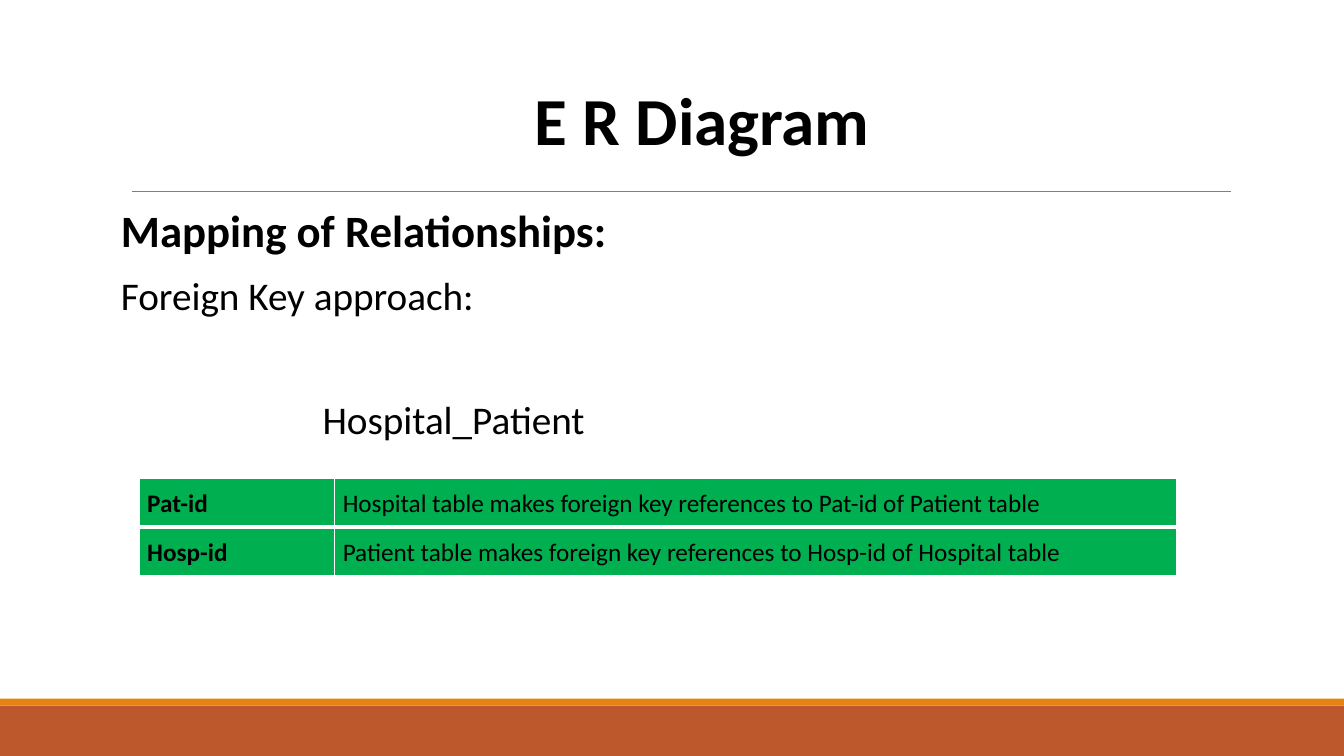
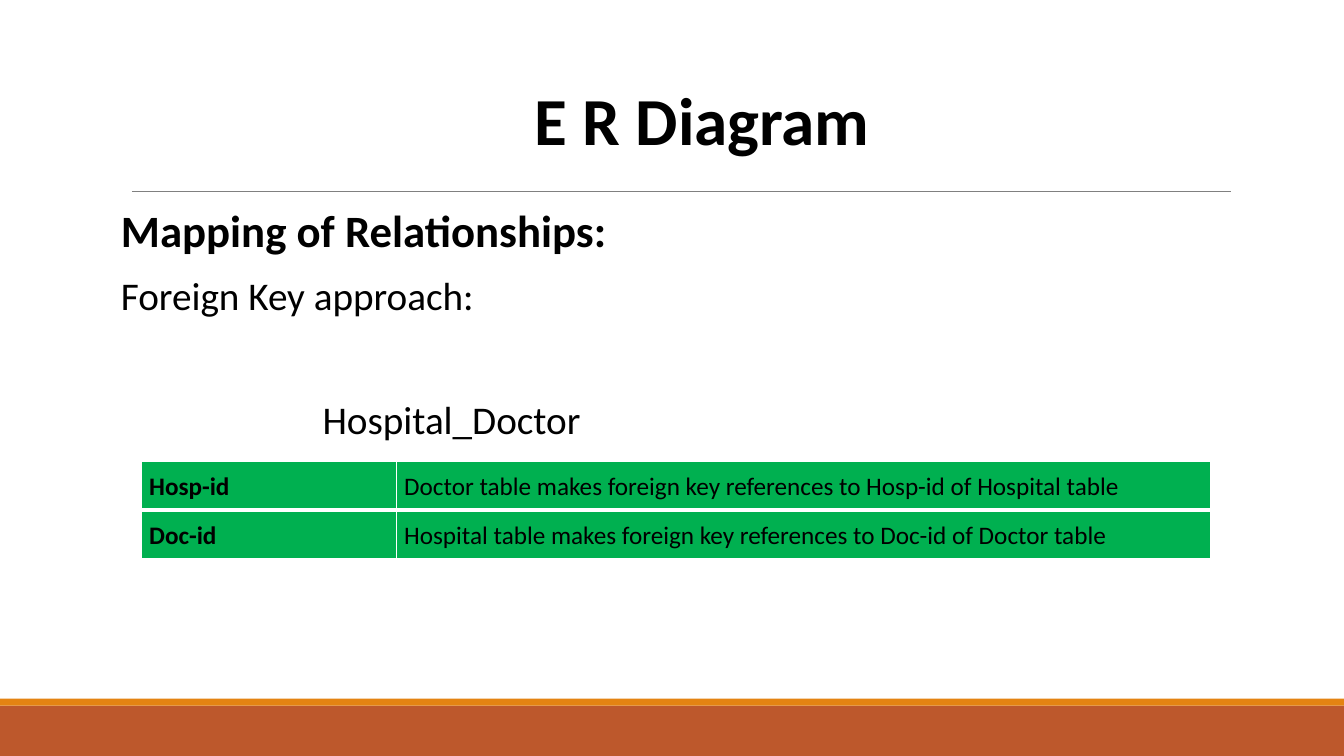
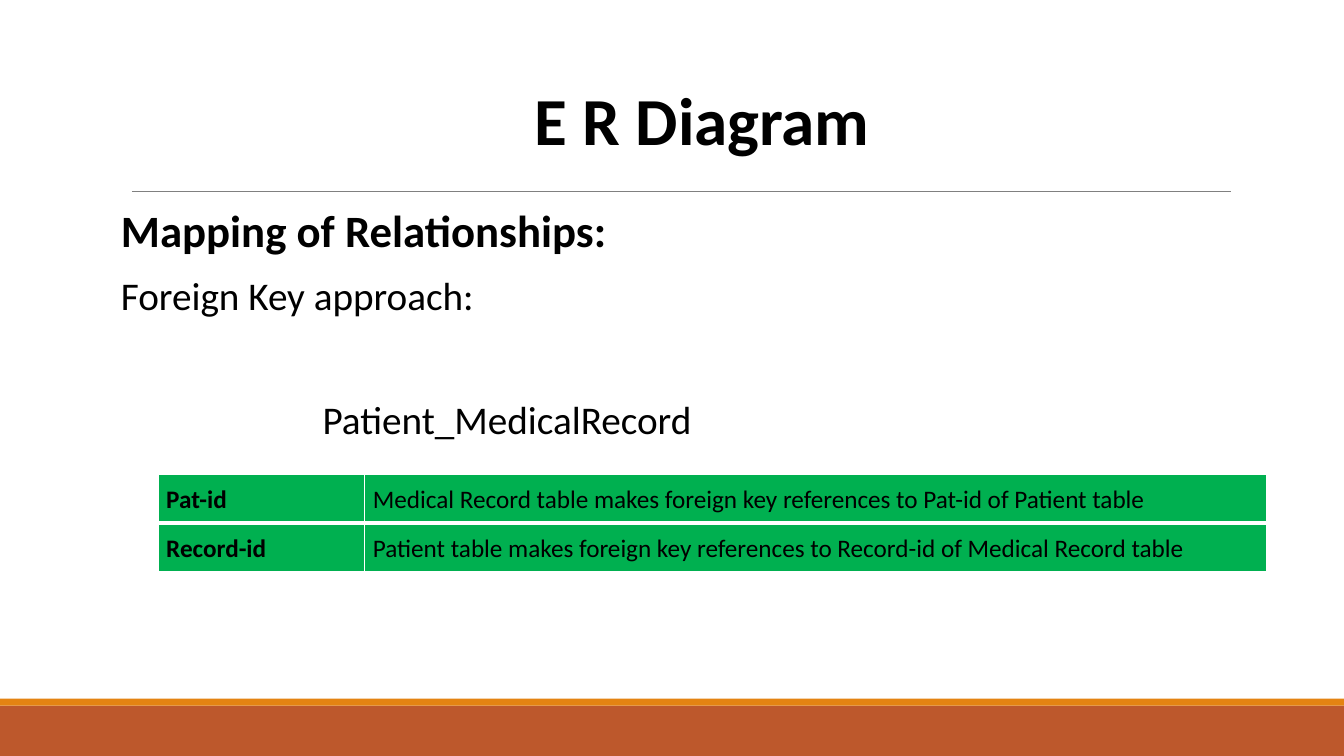
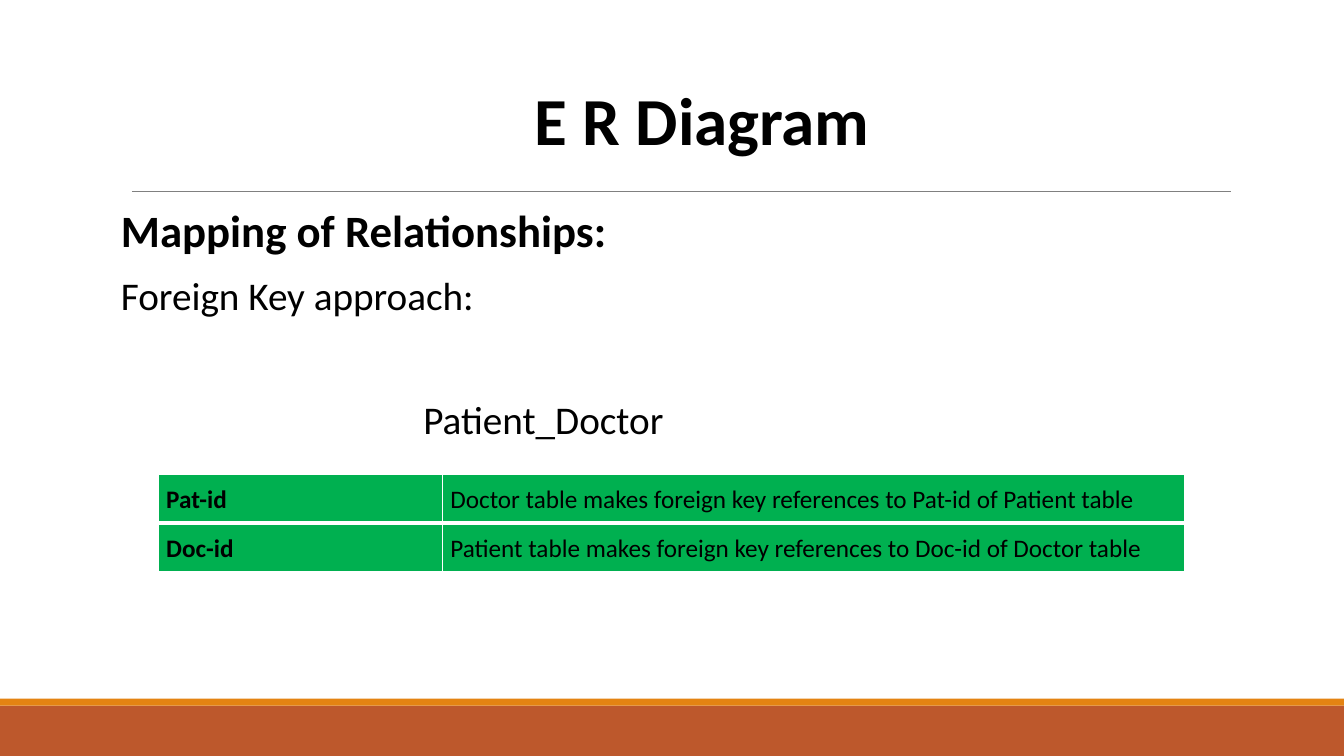
from lxml import etree
from pptx import Presentation
from pptx.dml.color import RGBColor
from pptx.enum.shapes import MSO_CONNECTOR, MSO_SHAPE
from pptx.oxml.ns import qn
from pptx.util import Pt

RECT = MSO_SHAPE.RECTANGLE
LINE = MSO_CONNECTOR.STRAIGHT

FONT = "Calibri"
COLORS = {"text": "000000", "foot": "BD582C", "strip": "E48312",
          "rule": "808080", "cell": "00B050", "edge": "FFFFFF"}

TITLE = "E R Diagram"
HEADS = ("Mapping of Relationships:", "Foreign Key approach:")
NOTE = "{} table makes foreign key references to {} of {} table"

SLIDES = [
    {"name": "Hospital_Patient", "indent": 144, "at": (99.4, 342), "cols": (139.7, 601.2),
     "rows": [("Pat-id", "Hospital", "Patient"), ("Hosp-id", "Patient", "Hospital")]},
    {"name": "Hospital_Doctor", "indent": 144, "at": (100.8, 329.7), "cols": (182.2, 581.8),
     "rows": [("Hosp-id", "Doctor", "Hospital"), ("Doc-id", "Hospital", "Doctor")]},
    {"name": "Patient_MedicalRecord", "indent": 144, "at": (113, 339.1), "cols": (147.6, 644.4),
     "rows": [("Pat-id", "Medical Record", "Patient"),
              ("Record-id", "Patient", "Medical Record")]},
    {"name": "Patient_Doctor", "indent": 216, "at": (113, 339.1), "cols": (203, 530),
     "rows": [("Pat-id", "Doctor", "Patient"), ("Doc-id", "Patient", "Doctor")]},
]

BANDS = [("foot", 504, 36), ("strip", 499, 5)]
WIDTH, HEIGHT = 960, 540
ROW = 34.2

STYLES = {
    "title": {"size": Pt(48), "bold": True},
    "head": {"size": Pt(32), "bold": True},
    "body": {"size": Pt(28), "bold": False},
    "key": {"size": Pt(18), "bold": True},
    "note": {"size": Pt(18), "bold": False},
}
FLOW = {"line_spacing": 0.9, "space_before": Pt(12), "space_after": Pt(2)}
LAST = {**FLOW, "space_before": Pt(56.5)}
CELL = {"line_spacing": 1.07, "space_before": Pt(15), "space_after": Pt(15)}


def color(name):
    return RGBColor.from_string(COLORS[name])


def apply(item, values):
    for key, value in values.items():
        setattr(item, key, value)


def write(para, text, style, flow):
    run = para.add_run()
    run.text = text
    apply(run.font, {"name": FONT, **STYLES[style]})
    run.font.color.rgb = color("text")
    apply(para, flow)


def add_box(slide, area, lines, side):
    frame = slide.shapes.add_textbox(*map(Pt, area)).text_frame
    apply(frame, {"word_wrap": True, "margin_left": Pt(side), "margin_right": Pt(side)})
    for i, line in enumerate(lines):
        para = frame.add_paragraph() if i else frame.paragraphs[0]
        write(para, *line)
    return frame


def add_frame(slide):
    for name, top, height in BANDS:
        band = slide.shapes.add_shape(RECT, 0, Pt(top), Pt(WIDTH), Pt(height))
        band.shadow.inherit = False
        band.fill.solid()
        band.fill.fore_color.rgb = color(name)
        band.line.fill.background()
    rule = slide.shapes.add_connector(LINE, Pt(94.3), Pt(136.8), Pt(879), Pt(136.8))
    rule.line.width = Pt(0.5)
    rule.line.color.rgb = color("rule")
    etree.SubElement(rule.element.spPr, qn("a:effectLst"))
    add_box(slide, (375, 52.6, 260, 65.5), [(TITLE, "title", {})], 7.2)


def add_edges(cell, widths):
    props = cell._tc.get_or_add_tcPr()
    for side, width in widths.items():
        edge = etree.SubElement(props, qn("a:ln" + side), w=str(Pt(width)))
        fill = etree.SubElement(edge, qn("a:solidFill"))
        etree.SubElement(fill, qn("a:srgbClr"), val=COLORS["edge"])


def add_keys(slide, data):
    rows, cols = data["rows"], data["cols"]
    area = (*data["at"], sum(cols), ROW * len(rows))
    table = slide.shapes.add_table(len(rows), len(cols), *map(Pt, area)).table
    for col, width in zip(table.columns, cols):
        col.width = Pt(width)
    for r, (key, owner, target) in enumerate(rows):
        texts = [(key, "key"), (NOTE.format(owner, key, target), "note")]
        edges = {"L": 1, "R": 1, "T": 3 if r == 1 else 1, "B": 1 if r else 3}
        for c, (text, style) in enumerate(texts):
            cell = table.cell(r, c)
            for side in ("left", "right", "top", "bottom"):
                setattr(cell, "margin_" + side, Pt(5.75))
            add_edges(cell, edges)
            cell.fill.solid()
            cell.fill.fore_color.rgb = color("cell")
            write(cell.text_frame.paragraphs[0], text, style, CELL)


def main():
    deck = Presentation()
    deck.slide_width, deck.slide_height = Pt(WIDTH), Pt(HEIGHT)
    for data in SLIDES:
        slide = deck.slides.add_slide(deck.slide_layouts[6])
        add_frame(slide)
        lines = [(HEADS[0], "head", FLOW), (HEADS[1], "body", FLOW),
                 (data["name"], "body", LAST)]
        frame = add_box(slide, (86.4, 145.4, 792, 316.8), lines, 0)
        props = frame.paragraphs[-1]._p.get_or_add_pPr()
        props.set("marL", str(Pt(data["indent"])))
        add_keys(slide, data)
    deck.save("out.pptx")


if __name__ == "__main__":
    main()
